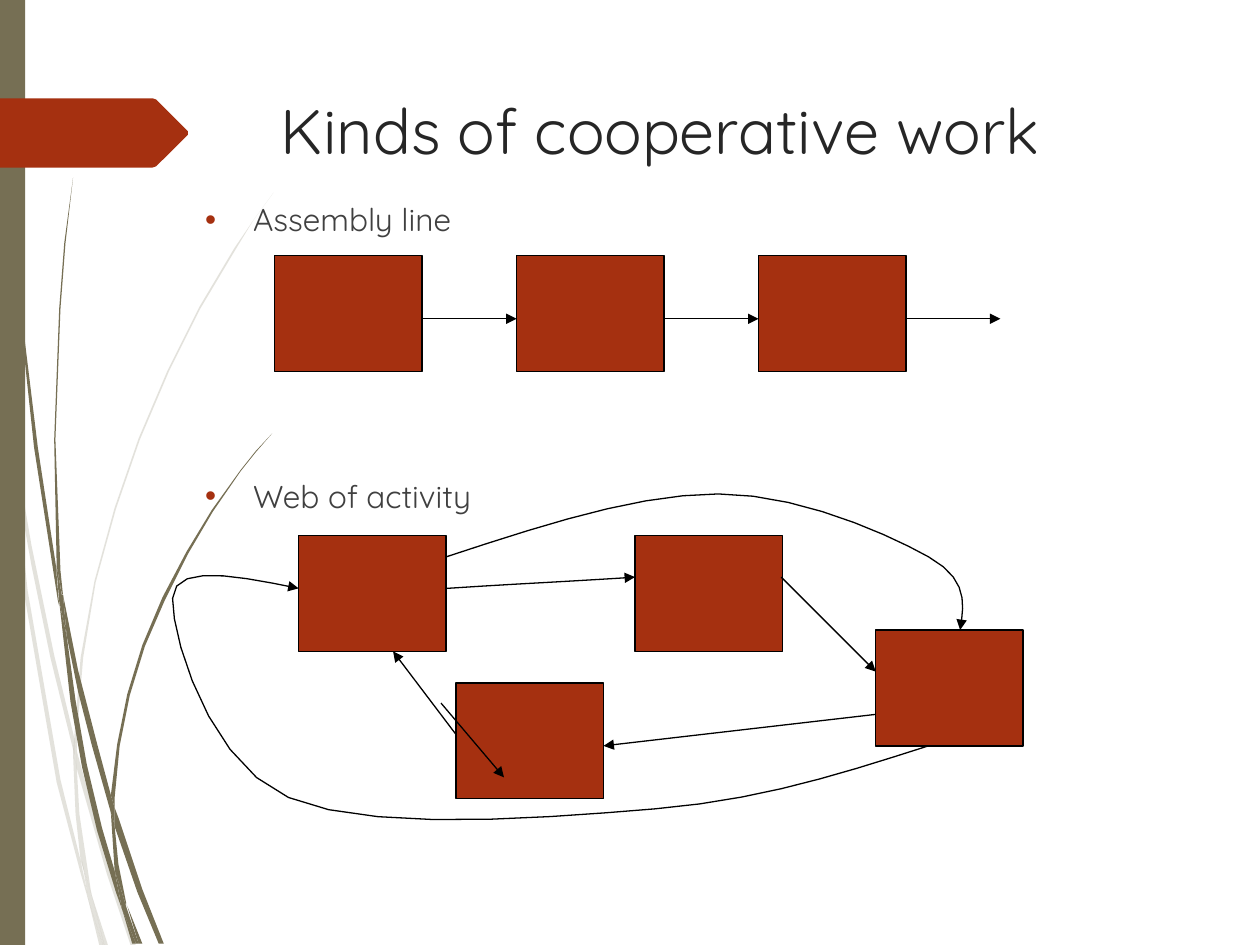
from pptx import Presentation
from pptx.dml.color import RGBColor
from pptx.enum.shapes import MSO_CONNECTOR, MSO_SHAPE
from pptx.oxml.ns import qn
from pptx.util import Inches, Pt
from lxml import etree

RECT, STRAIGHT = MSO_SHAPE.RECTANGLE, MSO_CONNECTOR.STRAIGHT
FONT = "Quicksand"
RUST, OLIVE, INK, TITLE_GREY, BODY_GREY = "A53010", "766F54", "000000", "262626", "404040"
WIDTH, HEIGHT = 10, 7.5
BOX_W, BOX_H = 1.17, 0.92
STEP_LEFT, STEP_TOP, STEP_PITCH, STEP_GAP = 2.18, 2.03, 1.92, 0.75
WEB_BOXES = [(2.37, 4.25), (6.95, 5), (3.62, 5.42), (5.04, 4.25)]
WEB_ARROWS = [((3.5, 5.58), (4, 6.17)), ((6.2, 4.58), (6.95, 5.33)),
              ((6.95, 5.67), (4.79, 5.92)), ((3.62, 5.83), (3.12, 5.17))]
WEB_CURVES = [
    [(3.54, 4.67), (4.16, 4.63), (4.79, 4.6), (5.04, 4.58)],
    [(3.54, 4.42), (4.3, 4.17), (5.06, 3.92), (5.7, 3.92), (6.34, 3.92),
     (7.05, 4.24), (7.37, 4.42), (7.69, 4.6), (7.65, 4.8), (7.62, 5)],
    [(7.37, 5.92), (6.71, 6.13), (6.05, 6.35), (5.2, 6.42), (4.36, 6.49), (2.93, 6.61), (2.29, 6.33),
     (1.65, 6.06), (1.36, 5.03), (1.37, 4.75), (1.38, 4.47), (1.88, 4.57), (2.37, 4.67)],
]
TITLE_TAG = [(0, .78), (1.21, .78), (1.24, .79), (1.49, 1.04), (1.49, 1.07), (1.24, 1.32), (1.21, 1.33), (0, 1.33)]
PALE_GRASS = [
    [(.08, 3.5), (.06, 3.22), (0, 2.82), (0, 2.99), (.07, 3.44)],
    [(.4, 5.22), (.59, 5.99), (.59, 5.86), (.43, 5.2), (.25, 4.33), (.1, 3.45), (.12, 3.76), (.25, 4.49)],
    [(.64, 6.07), (.61, 5.96), (.61, 6.1), (.85, 6.94), (1.04, 7.51), (1.08, 7.51), (.88, 6.92)],
    [(.83, 7.51), (.86, 7.51), (.73, 7.11)],
    [(.64, 6.83), (.48, 6.19), (.22, 4.69), (.12, 3.76), (.08, 3.5), (.19, 4.7), (.45, 6.21), (.64, 6.93),
     (.7, 7.14), (.69, 7.07)],
    [(.58, 5.99), (.6, 6.46), (.64, 6.83), (.67, 6.92), (.73, 7.11), (.72, 7.06), (.63, 6.46), (.61, 6.1), (.61, 6.08)],
    [(.61, 5.84), (.66, 5.22), (.76, 4.62), (.92, 4.04), (1.11, 3.49), (1.34, 2.95), (1.59, 2.45), (1.87, 1.98),
     (2.01, 1.75), (2.17, 1.53), (2.01, 1.75), (1.86, 1.97), (1.58, 2.44), (1.33, 2.94), (1.1, 3.48), (.91, 4.03),
     (.75, 4.61), (.64, 5.22), (.59, 5.84), (.59, 5.86), (.61, 5.96)],
    [(.7, 7.14), (.79, 7.51), (.82, 7.51)],
    [(.61, 6.08), (.61, 6.1), (.61, 5.96), (.59, 5.86), (.58, 5.99)],
    [(.67, 6.92), (.65, 6.83), (.69, 7.07), (.7, 7.14), (.82, 7.51), (.83, 7.51), (.73, 7.11)],
]
DARK_GRASS = [
    [(.05, 1.1), (.14, 2.33), (.27, 3.55), (.46, 4.77), (.47, 4.81), (.45, 4.57), (.45, 4.53), (.3, 3.55), (.15, 2.32),
     (.06, 1.09), (.04, .48), (.03, 0), (.02, 0), (.03, .48)],
    [(.73, 5.92), (.88, 6.45), (.88, 6.33), (.88, 6.31), (.77, 5.9), (.62, 5.32), (.5, 4.72), (.53, 5.05), (.62, 5.49)],
    [(.94, 6.49), (.91, 6.41), (.91, 6.56), (1.09, 7.08), (1.26, 7.49), (1.3, 7.49), (1.13, 7.06)],
    [(.91, 6.91), (.81, 6.57), (.69, 6.07), (.6, 5.56), (.53, 5.05), (.47, 4.77), (.56, 5.57), (.65, 6.08), (.77, 6.59),
     (.92, 7.08), (.97, 7.22), (.96, 7.17)],
    [(.5, 4.72), (.48, 4.53), (.44, 3.49), (.48, 2.45), (.52, 1.93), (.58, 1.41), (.51, 1.93), (.47, 2.45), (.43, 3.49),
     (.45, 4.49), (.49, 4.71)],
    [(1.1, 7.49), (1.13, 7.49), (1.01, 7.19)],
    [(.47, 4.77), (.53, 5.05), (.5, 4.72), (.49, 4.72), (.45, 4.49), (.45, 4.53)],
    [(.91, 6.33), (.95, 5.92), (1.03, 5.52), (1.15, 5.13), (1.31, 4.76), (1.49, 4.4), (1.69, 4.06), (1.91, 3.74),
     (2.03, 3.59), (2.16, 3.44), (2.03, 3.58), (1.91, 3.73), (1.68, 4.05), (1.48, 4.38), (1.29, 4.74), (1.13, 5.12),
     (1.01, 5.51), (.93, 5.91), (.88, 6.31), (.91, 6.41)],
    [(.97, 7.22), (1.05, 7.49), (1.08, 7.49)],
    [(.88, 6.45), (.91, 6.91), (.96, 7.06), (1, 7.19), (1, 7.16), (.94, 6.86), (.91, 6.56), (.9, 6.51)],
    [(.88, 6.45), (.9, 6.51), (.91, 6.56), (.91, 6.41), (.88, 6.31), (.88, 6.33)],
    [(.96, 7.06), (.91, 6.91), (.96, 7.17), (.97, 7.22), (1.08, 7.49), (1.1, 7.49), (1, 7.19)],
]


def color(hex_code):
    """Turn a hex string into a colour."""
    return RGBColor.from_string(hex_code)


def bezier(controls, steps=7):
    """Sample a chain of cubic Bezier segments."""
    points = [controls[0]]
    for i in range(0, len(controls) - 1, 3):
        for t in (step / steps for step in range(1, steps + 1)):
            weights = ((1 - t) ** 3, 3 * t * (1 - t) ** 2, 3 * t * t * (1 - t), t ** 3)
            points.append([sum(w * p[axis] for w, p in zip(weights, controls[i:i + 4])) for axis in (0, 1)])
    return points


def add_outline(slide, points, closed=True):
    """Draw an outline through points given in inches."""
    corners = [(Inches(x), Inches(y)) for x, y in points]
    builder = slide.shapes.build_freeform(*corners[0])
    builder.add_line_segments(corners[1:], close=closed)
    outline = builder.convert_to_shape()
    outline.shadow.inherit = False
    return outline


def paint(shape, fill, opacity=100):
    """Give a shape a plain fill and no line."""
    shape.fill.solid()
    shape.fill.fore_color.rgb = color(fill)
    shape.line.fill.background()
    if opacity < 100:
        tint = shape._element.spPr.find(qn("a:solidFill"))[0]
        etree.SubElement(tint, qn("a:alpha"), val=str(opacity * 1000))


def add_block(slide, left, top, width, height, fill):
    """Add a plain filled rectangle."""
    block = slide.shapes.add_shape(RECT, *map(Inches, (left, top, width, height)))
    block.shadow.inherit = False
    paint(block, fill)
    return block


def ink_line(line, arrow=False):
    """Set a thin black line, with a triangle at its end for an arrow."""
    line.color.rgb = color(INK)
    line.width = Pt(0.75)
    if arrow:
        etree.SubElement(line._get_or_add_ln(), qn("a:tailEnd"), type="triangle")


def add_work_box(slide, left, top):
    """Add one work station."""
    ink_line(add_block(slide, left, top, BOX_W, BOX_H, RUST).line)


def add_arrow(slide, start, end):
    """Add a straight arrow."""
    arrow = slide.shapes.add_connector(STRAIGHT, *map(Inches, (*start, *end)))
    ink_line(arrow.line, arrow=True)
    etree.SubElement(arrow._element.spPr, qn("a:effectLst"))


def add_bullet(paragraph):
    """Give a paragraph a rust bullet and a hanging indent."""
    properties = paragraph._p.get_or_add_pPr()
    properties.set("marL", str(Inches(0.38)))
    properties.set("indent", str(-Inches(0.38)))
    etree.SubElement(etree.SubElement(properties, qn("a:buClr")), qn("a:srgbClr"), val=RUST)
    etree.SubElement(properties, qn("a:buFont"), typeface="Arial")
    etree.SubElement(properties, qn("a:buChar"), char="•")


def add_text(slide, left, top, width, height, lines, size, ink, bullets=False, gap=0):
    """Add a text box with one paragraph per line."""
    frame = slide.shapes.add_textbox(*map(Inches, (left, top, width, height))).text_frame
    frame.word_wrap = True
    frame.text = "\n".join(lines)
    for index, paragraph in enumerate(frame.paragraphs):
        paragraph.space_before = Pt(gap if index else 0)
        if bullets:
            add_bullet(paragraph)
        font = paragraph.runs[0].font
        font.name, font.size, font.color.rgb = FONT, Pt(size), color(ink)


def add_backdrop(slide):
    """Draw the grass, the side bar and the title tag."""
    for blades, opacity in ((PALE_GRASS, 20), (DARK_GRASS, 100)):
        for blade in blades:
            paint(add_outline(slide, blade), OLIVE, opacity)
    add_block(slide, 0, 0, WIDTH * 0.02, HEIGHT, OLIVE)
    paint(add_outline(slide, TITLE_TAG), RUST)


def add_assembly_line(slide):
    """Draw three stations in a row, each passing work on."""
    for left in (STEP_LEFT + step * STEP_PITCH for step in range(3)):
        add_work_box(slide, left, STEP_TOP)
        exit_x, exit_y = left + BOX_W, STEP_TOP + 0.5
        add_arrow(slide, (exit_x, exit_y), (exit_x + STEP_GAP, exit_y))


def add_activity_web(slide):
    """Draw four stations linked in many directions."""
    for left, top in WEB_BOXES:
        add_work_box(slide, left, top)
    for start, end in WEB_ARROWS:
        add_arrow(slide, start, end)
    for controls in WEB_CURVES:
        curve = add_outline(slide, bezier(controls), closed=False)
        curve.fill.background()
        ink_line(curve.line, arrow=True)


def main():
    """Build and save the slide."""
    deck = Presentation()
    deck.slide_width, deck.slide_height = Inches(WIDTH), Inches(HEIGHT)
    slide = deck.slides.add_slide(deck.slide_layouts[6])
    add_backdrop(slide)
    add_text(slide, 2.13, 0.68, 7.21, 1.4, ["Kinds of cooperative work"], 36, TITLE_GREY)
    add_text(slide, 1.53, 1.54, 7.21, 4.13, ["Assembly line", "Web of activity"], 18, BODY_GREY, True, 136.5)
    add_assembly_line(slide)
    add_activity_web(slide)
    deck.save("out.pptx")


if __name__ == "__main__":
    main()
